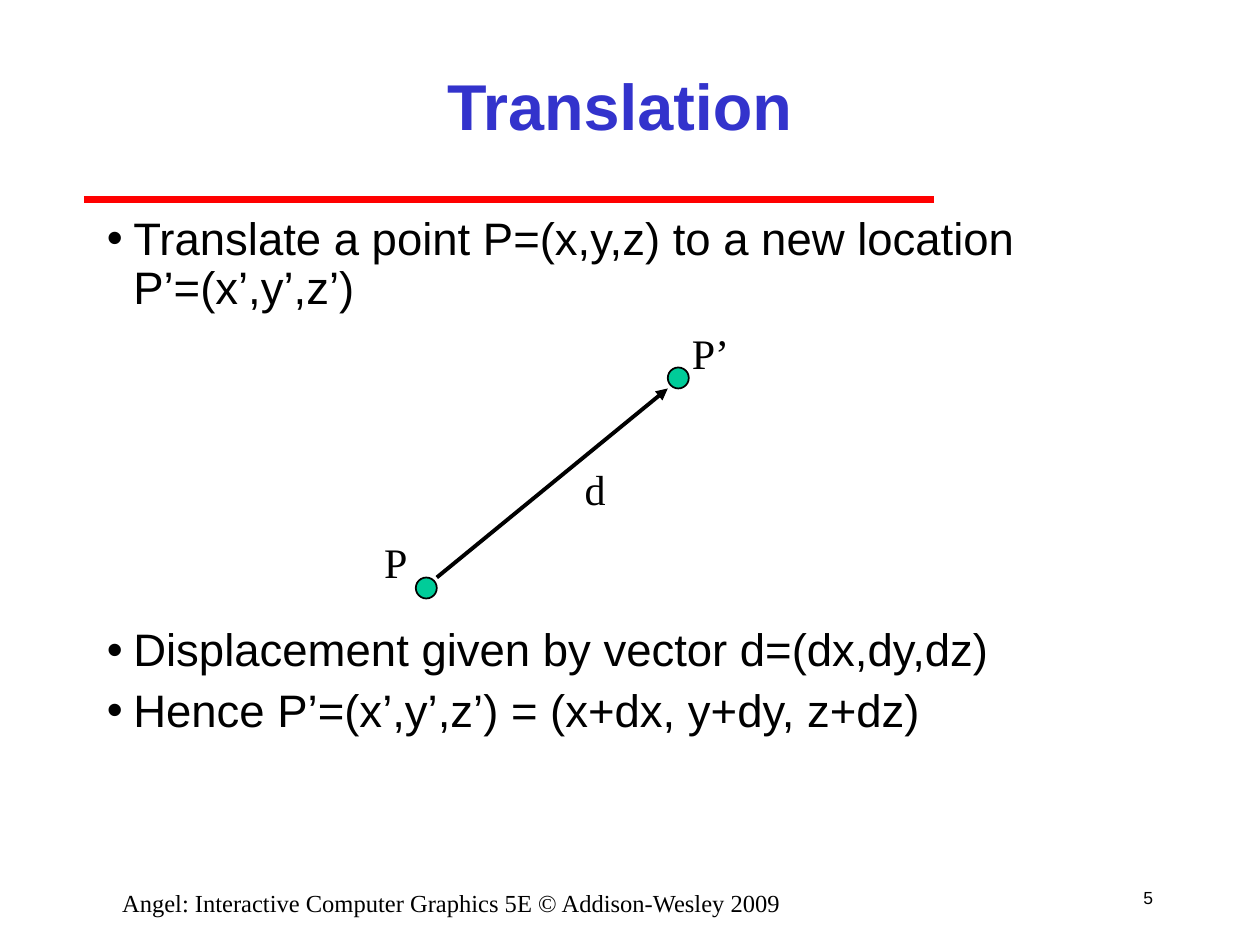
import pptx
import pptx.dml.color
import pptx.enum.shapes
import pptx.enum.text
import pptx.oxml
import pptx.oxml.ns
import pptx.util

BLACK = pptx.dml.color.RGBColor(0x00, 0x00, 0x00)
RED = pptx.dml.color.RGBColor(0xFF, 0x00, 0x00)
BLUE = pptx.dml.color.RGBColor(0x33, 0x33, 0xCC)
GREEN = pptx.dml.color.RGBColor(0x00, 0xCC, 0x99)

ALIGN = pptx.enum.text.PP_ALIGN
ANCHOR = pptx.enum.text.MSO_ANCHOR
CELL = pptx.util.Inches(1 / 12)  # the slide is a grid of 120 columns by 90 rows

deck = pptx.Presentation()
deck.slide_width = 120 * CELL
deck.slide_height = 90 * CELL
page = deck.slides.add_slide(deck.slide_layouts[5])


def write(text, area, box=None, size=24, font="Times New Roman", color=BLACK, bold=False,
          align=ALIGN.LEFT, anchor=ANCHOR.TOP, wrap=True):
    """Put text, one paragraph a line, in a box placed by grid cells."""
    left, top, width, height = (round(cells * CELL) for cells in area)
    if box is None:
        box = page.shapes.add_textbox(left, top, width, height)
    box.left, box.top, box.width, box.height = left, top, width, height
    frame = box.text_frame
    frame.text = text
    frame.word_wrap = wrap
    frame.auto_size = pptx.enum.text.MSO_AUTO_SIZE.NONE
    frame.vertical_anchor = anchor
    for para in frame.paragraphs:
        para.alignment = align
        for span in para.runs:
            span.font.size = pptx.util.Pt(size)
            span.font.name = font
            span.font.bold = bold
            span.font.color.rgb = color
    return box


def connect(start, end, color, width):
    """Draw a straight line between two grid points."""
    line = page.shapes.add_connector(
        pptx.enum.shapes.MSO_CONNECTOR.STRAIGHT,
        *(round(cells * CELL) for cells in start + end))
    line.line.color.rgb = color
    line.line.width = pptx.util.Pt(width)
    line._element.spPr.append(pptx.oxml.parse_xml(
        f'<a:effectLst {pptx.oxml.ns.nsdecls("a")}/>'))
    return line


# Rule under the title, page number, footer
connect((8, 19), (89, 19), RED, 4)
write("5", (106, 83, 5, 5), size=10, font="Arial", align=ALIGN.RIGHT,
      anchor=ANCHOR.MIDDLE, wrap=False)
write("Angel: Interactive Computer Graphics 5E © Addison-Wesley 2009", (6, 84, 74, 3),
      size=14, align=ALIGN.CENTER)

# Title
write("Translation", (18, 3, 82, 14), box=page.shapes.title, size=37, font="Arial",
      color=BLUE, bold=True, align=ALIGN.CENTER, anchor=ANCHOR.MIDDLE)

# Bullets, with room for the diagram after the first
body = write("Translate a point P=(x,y,z) to a new location P’=(x’,y’,z’)\n"
             "Displacement given by vector d=(dx,dy,dz)\n"
             "Hence P’=(x’,y’,z’) = (x+dx, y+dy, z+dz)",
             (9, 20, 95, 59), size=26, font="Arial")
indent = pptx.util.Inches(0.21)
for para, gap in zip(body.text_frame.paragraphs, (0, 179, 6.5)):
    para.line_spacing = 0.9
    para.space_before = pptx.util.Pt(gap)
    props = para._p.get_or_add_pPr()
    props.set("marL", str(indent))
    props.set("indent", str(-indent))
    for bullet in ('<a:buFont {} typeface="Arial"/>', '<a:buChar {} char="•"/>'):
        props.append(pptx.oxml.parse_xml(bullet.format(pptx.oxml.ns.nsdecls("a"))))

# Diagram: labels, points, displacement arrow
for label, left, top, width in (("P", 35.4, 50.5, 4.6), ("P’", 64.7, 30.6, 5.9),
                                ("d", 54.5, 43.6, 4.3)):
    write(label, (left, top, width, 6), wrap=False)

for left, top in ((39.6, 55), (63.6, 35)):
    point = page.shapes.add_shape(pptx.enum.shapes.MSO_SHAPE.OVAL, round(left * CELL),
                                  top * CELL, 2 * CELL, 2 * CELL)
    point.shadow.inherit = False
    point.fill.solid()
    point.fill.fore_color.rgb = GREEN
    point.line.color.rgb = BLACK
    point.line.width = pptx.util.Pt(1)

arrow = connect((41.6, 55), (63.6, 37), BLACK, 2.25)
arrow.line._get_or_add_ln().append(pptx.oxml.parse_xml(
    f'<a:tailEnd {pptx.oxml.ns.nsdecls("a")} type="triangle"/>'))

deck.save("out.pptx")
